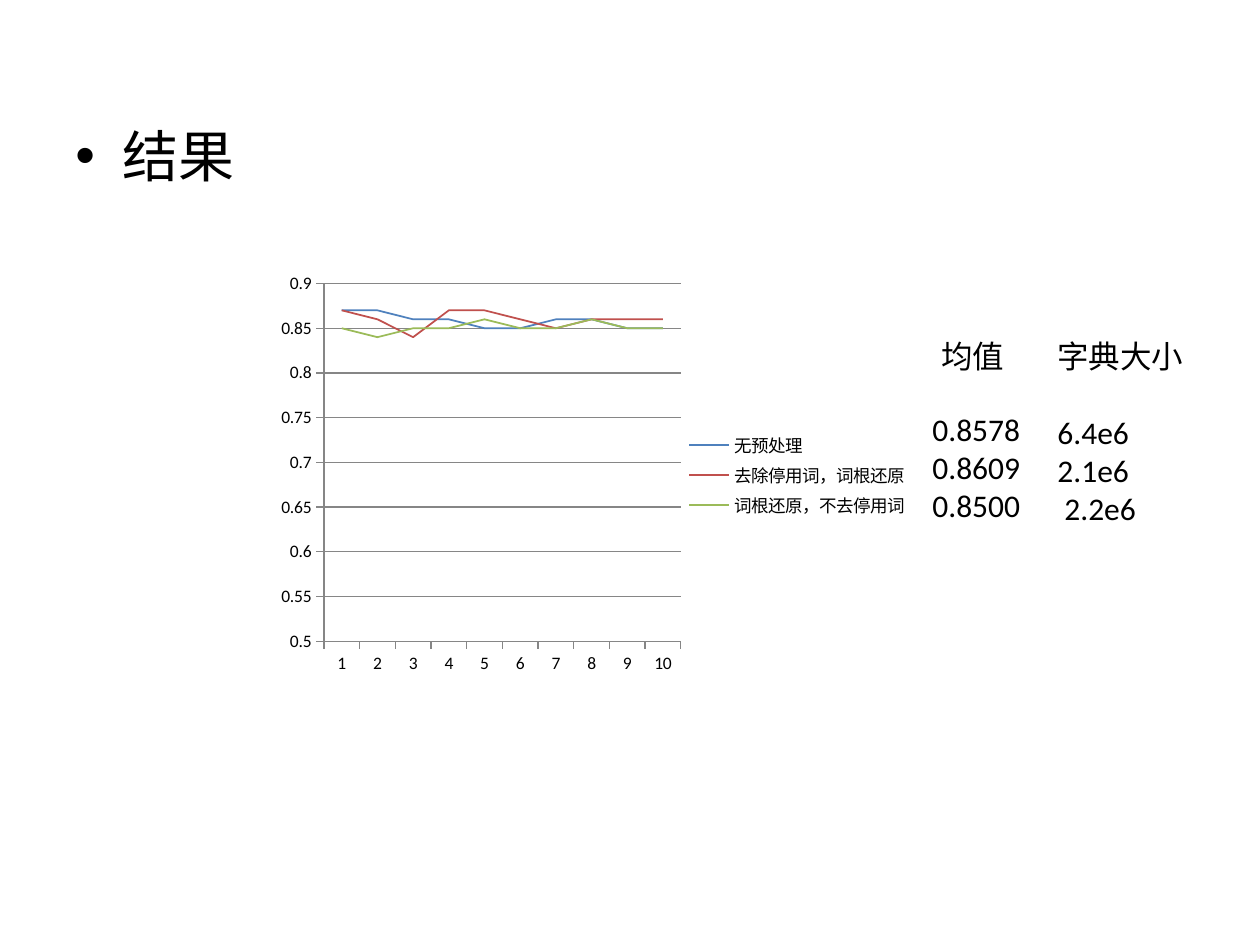
import dataclasses

import pptx
import pptx.chart.data
import pptx.dml.color
import pptx.enum.chart
import pptx.enum.text
import pptx.oxml
import pptx.oxml.ns
import pptx.util


@dataclasses.dataclass(frozen=True)
class Theme:
    font: str = "Calibri"
    ink: str = "000000"
    axis: str = "868686"
    series: tuple = ("4F81BD", "C0504D", "9BBB59")
    heading: int = 32
    body: int = 18
    chart: int = 10


THEME = Theme()
EMU_PER_PX = 914400 / 126


def px(length):
    return pptx.util.Emu(round(length * EMU_PER_PX))


def rgb(value):
    return pptx.dml.color.RGBColor.from_string(value)


def style_font(font, size):
    font.name = THEME.font
    font.size = pptx.util.Pt(size)
    font.color.rgb = rgb(THEME.ink)


def write_text(para, text, *, size=THEME.body, before=0, indent=0, bullet=None):
    """Fill one paragraph; a bullet hangs in the indent."""
    span = para.add_run()
    span.text = text
    style_font(span.font, size)
    para.space_before = pptx.util.Pt(before)
    properties = para._p.get_or_add_pPr()
    properties.set("marL", str(px(indent)))
    if bullet:
        properties.set("indent", str(-px(indent)))
        for tag, name, value in (("buFont", "typeface", "Arial"), ("buChar", "char", bullet)):
            mark = pptx.oxml.parse_xml(f'<a:{tag} {pptx.oxml.ns.nsdecls("a")} {name}="{value}"/>')
            properties.append(mark)


class SlideBuilder:
    def __init__(self, deck, theme):
        self.theme = theme
        self.page = deck.slides.add_slide(deck.slide_layouts[6])

    def text(self, area, lines, wrap=True):
        """Add a text box; each line is (text, format)."""
        box = self.page.shapes.add_textbox(*map(px, area))
        frame = box.text_frame
        frame.word_wrap = wrap
        frame.auto_size = pptx.enum.text.MSO_AUTO_SIZE.NONE
        for number, (text, style) in enumerate(lines):
            para = frame.add_paragraph() if number else frame.paragraphs[0]
            write_text(para, text, **style)

    def line_chart(self, area, categories, series, plot):
        data = pptx.chart.data.CategoryChartData(number_format="General")
        data.categories = categories
        for name, values in series.items():
            data.add_series(name, values)
        chart = self.page.shapes.add_chart(
            pptx.enum.chart.XL_CHART_TYPE.LINE, *map(px, area), data).chart
        style_font(chart.font, self.theme.chart)
        chart.has_title = False
        chart.has_legend = True
        chart.legend.position = pptx.enum.chart.XL_LEGEND_POSITION.RIGHT
        chart.legend.include_in_layout = False
        chart.plots[0].vary_by_categories = False
        for line, color in zip(chart.plots[0].series, self.theme.series):
            line.smooth = False
            line.format.line.color.rgb = rgb(color)
            line.format.line.width = pptx.util.Pt(1)
            line.marker.style = pptx.enum.chart.XL_MARKER_STYLE.NONE
        self.axes(chart)
        self.place_plot(chart, area, plot)

    def axes(self, chart):
        value_axis = chart.value_axis
        value_axis.minimum_scale, value_axis.maximum_scale = 0.5, 0.9
        value_axis.major_unit = 0.05
        value_axis.has_major_gridlines = True
        grid = value_axis.major_gridlines
        for part in (value_axis, chart.category_axis, grid):
            part.format.line.color.rgb = rgb(self.theme.axis)
            part.format.line.width = pptx.util.Pt(0.75)
        for axis in (value_axis, chart.category_axis):
            axis.major_tick_mark = pptx.enum.chart.XL_TICK_MARK.OUTSIDE

    def place_plot(self, chart, area, plot):
        """Fix the inner plot area, as shares of the chart frame."""
        left, top, width, height = area
        shares = {"x": (plot[0] - left) / width, "y": (plot[1] - top) / height,
                  "w": plot[2] / width, "h": plot[3] / height}
        modes = "".join(f'<c:{key}Mode val="edge"/>' for key in "xy")
        values = "".join(f'<c:{key} val="{share:.2f}"/>' for key, share in shares.items())
        layout = pptx.oxml.parse_xml(
            f'<c:layout {pptx.oxml.ns.nsdecls("c")}><c:manualLayout>'
            f'<c:layoutTarget val="inner"/>{modes}{values}</c:manualLayout></c:layout>')
        plot_area = chart._chartSpace.chart.plotArea
        for old in plot_area.findall(pptx.oxml.ns.qn("c:layout")):
            plot_area.remove(old)
        plot_area.insert(0, layout)


def main():
    deck = pptx.Presentation()
    deck.slide_width, deck.slide_height = px(1260), px(945)
    slide = SlideBuilder(deck, THEME)

    # Heading
    slide.text((63, 115, 1134, 730),
               [("结果", dict(size=THEME.heading, indent=47, bullet="•"))])

    # Accuracy over ten folds
    accuracy = {
        "无预处理": (0.87, 0.87, 0.86, 0.86, 0.85, 0.85, 0.86, 0.86, 0.85, 0.85),
        "去除停用词，词根还原": (0.87, 0.86, 0.84, 0.87, 0.87, 0.86, 0.85, 0.86, 0.86, 0.86),
        "词根还原，不去停用词": (0.85, 0.84, 0.85, 0.85, 0.86, 0.85, 0.85, 0.86, 0.85, 0.85),
    }
    folds = [str(fold) for fold in range(1, 11)]
    slide.line_chart((272, 267, 649, 416), folds, accuracy, plot=(327, 285, 360, 357))

    # Means and dictionary sizes
    slide.text((920, 404, 130, 127), [(mean, {}) for mean in ("0.8578", "0.8609", "0.8500")])
    slide.text((929, 331, 89, 50), [("均值", {})], wrap=False)
    slide.text((1045, 331, 160, 204),
               [("字典大小", {}), ("6.4e6", dict(before=22)), ("2.1e6", {}),
                ("2.2e6", dict(indent=7))], wrap=False)

    deck.save("out.pptx")


if __name__ == "__main__":
    main()
